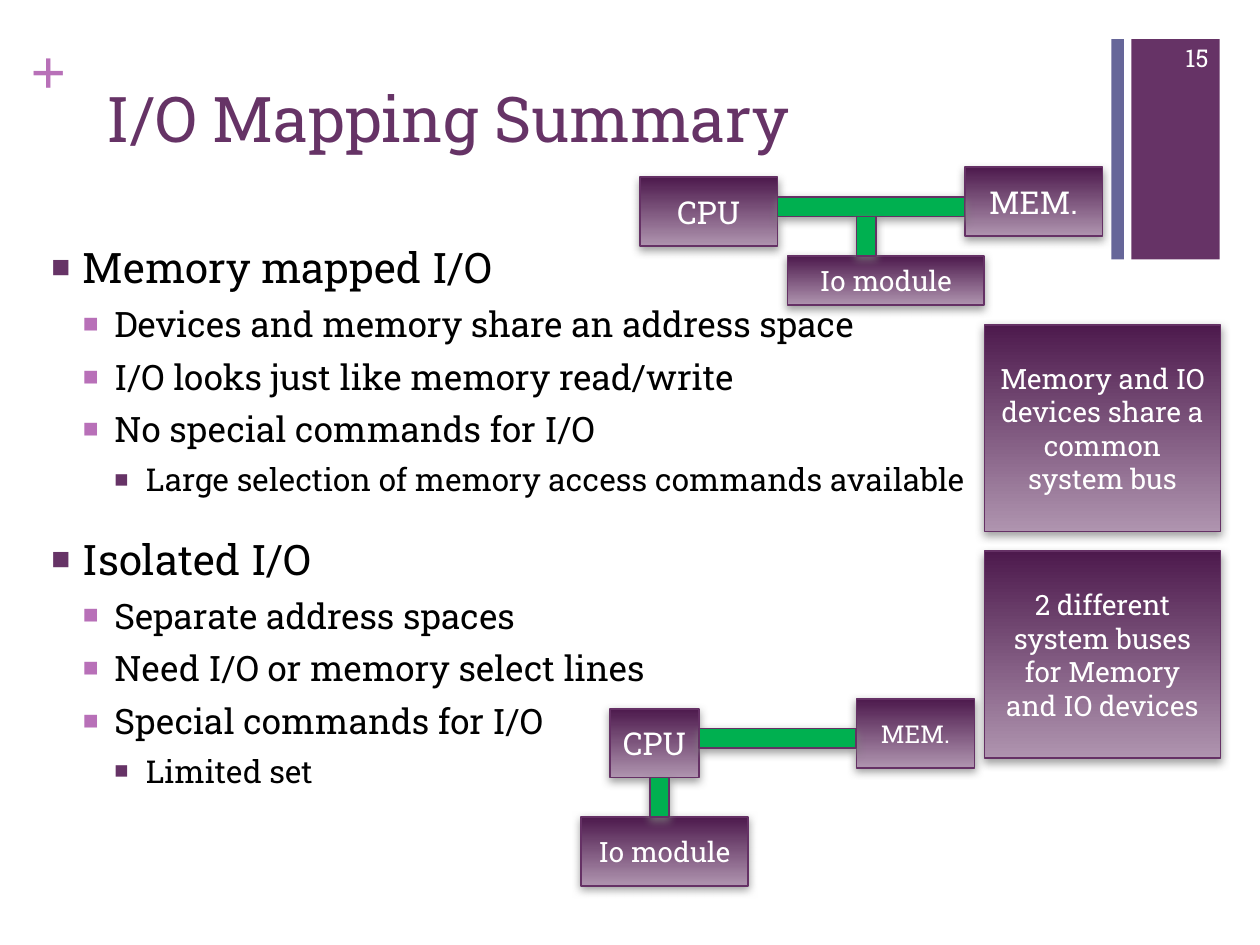
import pptx
import pptx.dml.color
import pptx.enum.shapes
import pptx.enum.text
import pptx.oxml
import pptx.oxml.ns
import pptx.util

RGBColor = pptx.dml.color.RGBColor
ALIGN = pptx.enum.text.PP_ALIGN
ANCHOR = pptx.enum.text.MSO_ANCHOR

PURPLE = RGBColor(0x66, 0x33, 0x66)
ORCHID = RGBColor(0xB8, 0x70, 0xB8)
SLATE = RGBColor(0x66, 0x66, 0x99)
DARK = RGBColor(0x4D, 0x1A, 0x4D)
PALE = RGBColor(0xAF, 0x94, 0xAF)
EDGE = RGBColor(0x65, 0x31, 0x65)
GREEN = RGBColor(0x00, 0xB0, 0x50)
GRAY = RGBColor(0x80, 0x80, 0x80)
BLACK = RGBColor(0, 0, 0)
WHITE = RGBColor(0xFF, 0xFF, 0xFF)
FONT = "Roboto Slab"
CELL = 10 / 128  # the slide is a grid of 128 columns and 96 rows

# Outline levels: text size, space before, bullet colour
LEVELS = [(24, 20, PURPLE), (20, 6, ORCHID), (18, 6, PURPLE)]
OUTLINE = [
    (0, "Memory mapped I/O"),
    (1, "Devices and memory share an address space"),
    (1, "I/O looks just like memory read/write"),
    (1, "No special commands for I/O"),
    (2, "Large selection of memory access commands available"),
    (0, "Isolated I/O"),
    (1, "Separate address spaces"),
    (1, "Need I/O or memory select lines"),
    (1, "Special commands for I/O"),
    (2, "Limited set"),
]


def xml(text):
    return pptx.oxml.parse_xml(text.replace(" ", f' {pptx.oxml.ns.nsdecls("a")} ', 1))


def inches(box):
    return [pptx.util.Inches(length) for length in box]


def cells(origin, box):
    """Turn a box of columns and rows, counted from origin, into inches."""
    left, top, width, height = box
    return [n * CELL for n in (origin[0] + left, origin[1] + top, width, height)]


def style(para, size, color, align=ALIGN.LEFT, font=FONT):
    para.alignment = align
    para.font.size = pptx.util.Pt(size)
    para.font.name = font
    para.font.color.rgb = color


def add_text(page, box, text, size, color, align=ALIGN.LEFT, anchor=ANCHOR.TOP):
    frame = page.shapes.add_textbox(*inches(box)).text_frame
    frame.word_wrap = True
    frame.vertical_anchor = anchor
    frame.text = text
    style(frame.paragraphs[0], size, color, align)
    return frame


def add_rect(page, box, color):
    rect = page.shapes.add_shape(pptx.enum.shapes.MSO_SHAPE.RECTANGLE, *inches(box))
    rect.shadow.inherit = False
    rect.fill.solid()
    rect.fill.fore_color.rgb = color
    rect.line.fill.background()
    return rect


def add_raised(page, box, color):
    """Outlined rectangle with a soft shadow below it."""
    rect = add_rect(page, box, color)
    rect.line.color.rgb = EDGE
    rect.line.width = pptx.util.Pt(1)
    effects = rect._element.spPr.find(pptx.oxml.ns.qn("a:effectLst"))
    effects.append(xml(
        f'<a:outerShdw blurRad="{pptx.util.Pt(5)}" dist="{pptx.util.Pt(2)}" dir="5400000" '
        f'rotWithShape="0"><a:srgbClr val="{GRAY}"><a:alpha val="75000"/></a:srgbClr>'
        '</a:outerShdw>'))
    return rect


def add_block(page, box, text, size):
    block = add_raised(page, box, DARK)
    block.fill.gradient()
    block.fill.gradient_angle = 270
    for stop, color, position in zip(block.fill.gradient_stops, (DARK, PALE), (0, 1)):
        stop.color.rgb = color
        stop.position = position
    frame = block.text_frame
    frame.word_wrap = True
    frame.vertical_anchor = ANCHOR.MIDDLE
    frame.text = text
    style(frame.paragraphs[0], size, WHITE, ALIGN.CENTER)


def add_decoration(page):
    """Corner bars and plus sign."""
    add_rect(page, (8.98, 0.31, 0.7, 1.75), PURPLE)
    plus = add_text(page, (0.24, 0.25, 0.29, 0.61), "+", 36, ORCHID)
    plus.margin_left = plus.margin_right = plus.margin_top = plus.margin_bottom = 0
    plus.paragraphs[0].font.name = "Times New Roman"
    plus.paragraphs[0].font.bold = True
    add_rect(page, (8.82, 0.31, 0.1, 1.75), SLATE)


def add_outline(page, box):
    frame = page.shapes.add_textbox(*inches(box)).text_frame
    frame.word_wrap = True
    for index, (level, text) in enumerate(OUTLINE):
        para = frame.add_paragraph() if index else frame.paragraphs[0]
        size, before, bullet_color = LEVELS[level]
        para.text = text
        para.level = level
        para.space_before = pptx.util.Pt(before)
        style(para, size, BLACK)
        props = para._p.get_or_add_pPr()
        props.set("marL", str(pptx.util.Inches(0.25 * (level + 1))))
        props.set("indent", str(pptx.util.Inches(-0.25)))
        bullet = (f'<a:buClr ><a:srgbClr val="{bullet_color}"/></a:buClr>',
                  '<a:buSzPct val="75000"/>',
                  '<a:buFont typeface="Arial"/>',
                  '<a:buChar char="\u25a0"/>')
        for at, part in enumerate(bullet):
            props.insert_element_before(xml(part), "a:tabLst", "a:defRPr", "a:extLst")


def add_diagram(page, origin, blocks, buses):
    for box, text, size in blocks:
        add_block(page, cells(origin, box), text, size)
    for box in buses:
        add_raised(page, cells(origin, box), GREEN)


def add_notes_column(page, origin, texts):
    for row, text in enumerate(texts):
        add_block(page, cells(origin, (0, 23 * row, 24, 21)), text, 16)


deck = pptx.Presentation()
deck.slide_width, deck.slide_height = inches((10, 7.5))
page = deck.slides.add_slide(deck.slide_layouts[6])

add_decoration(page)
add_text(page, (0.75, 0.58, 8.26, 1.22), "I/O Mapping Summary", 36, PURPLE)
add_outline(page, (0.31, 1.87, 8.26, 4.53))
add_notes_column(page, (100, 33), [
    "Memory and IO devices share a common system bus",
    "2 different system buses for Memory and IO devices",
])
add_text(page, (9.08, 0.26, 0.61, 0.4), "15", 14, WHITE, ALIGN.RIGHT, ANCHOR.MIDDLE)

# Shared bus
add_diagram(page, (65, 17), [
    ((0, 1, 14, 7), "CPU", 18),
    ((33, 0, 14, 7), "MEM.", 18),
    ((15, 9, 20, 5), "Io module", 16),
], [(14, 3, 19, 2), (22, 5, 2, 4)])

# Separate buses
add_diagram(page, (59, 71), [
    ((3, 1, 9, 7), "CPU", 18),
    ((28, 0, 12, 7), "MEM.", 14),
    ((0, 12, 17, 7), "Io module", 16),
], [(12, 3, 16, 2), (7, 8, 2, 4)])

deck.save("out.pptx")
